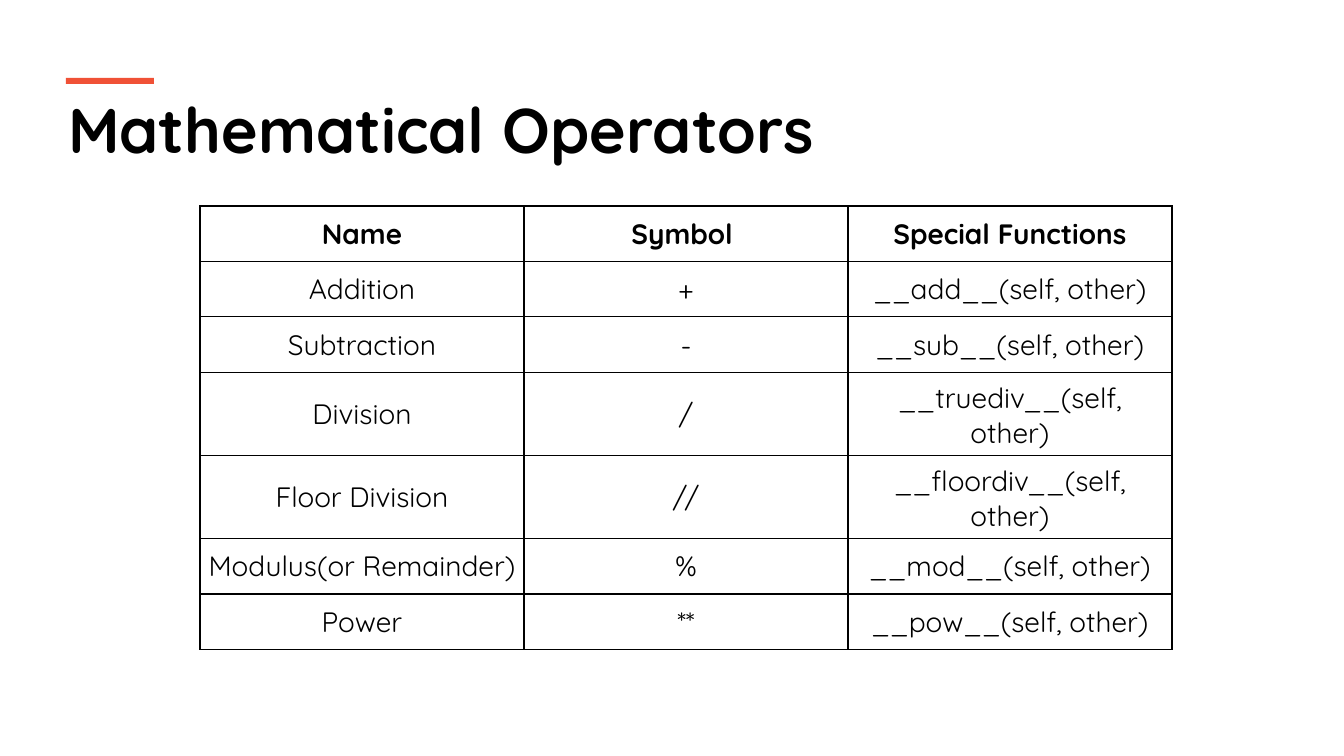
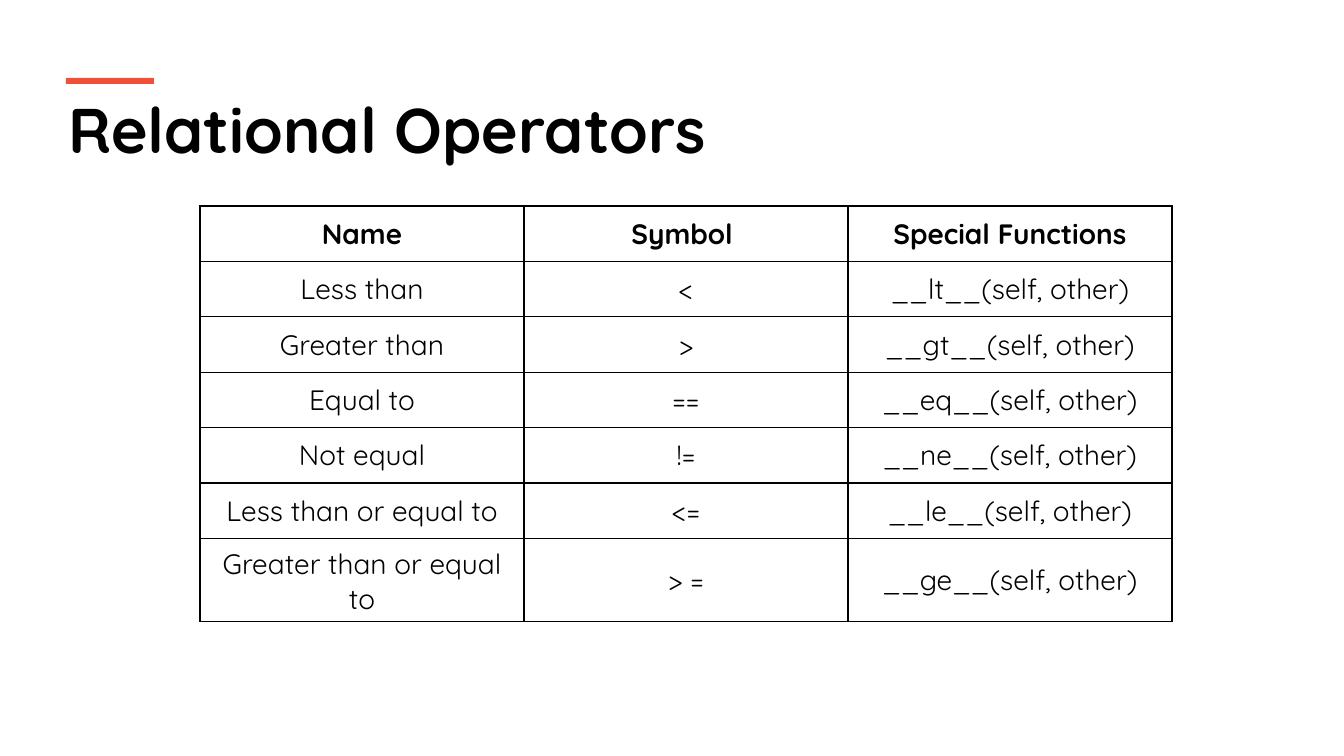
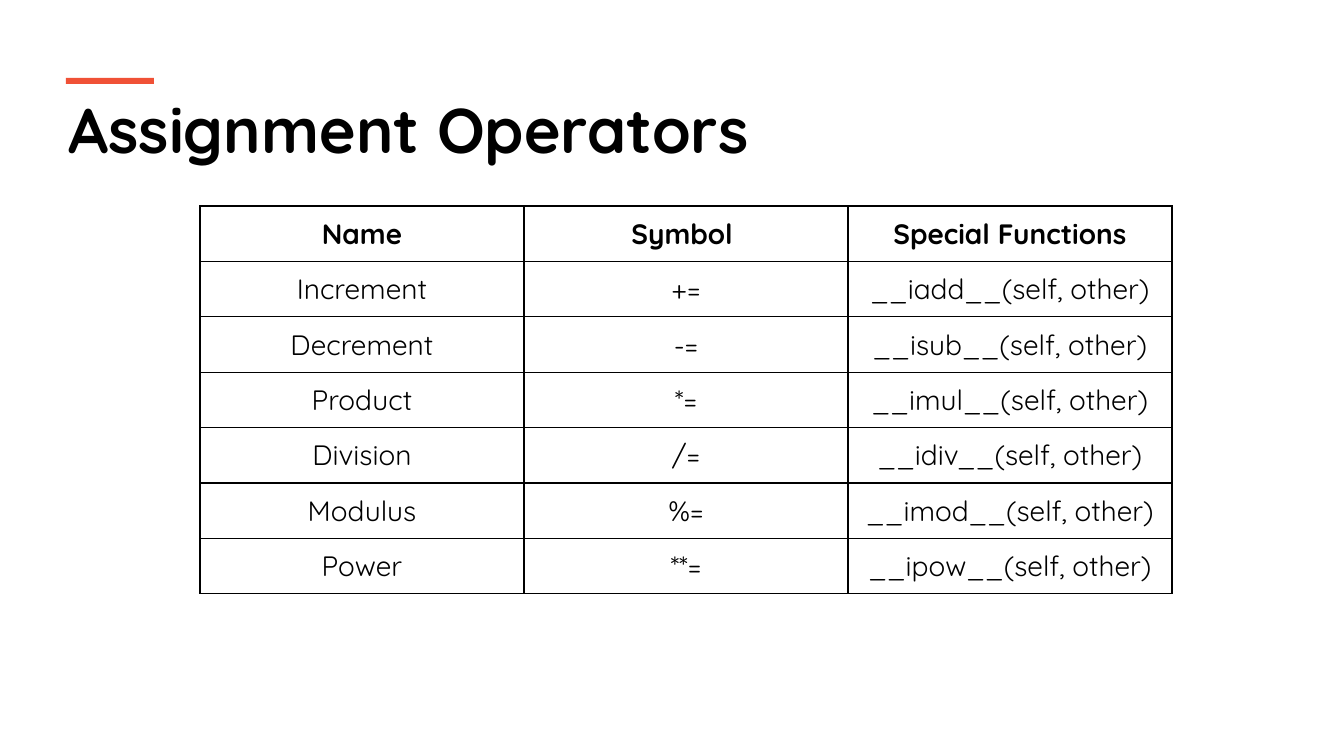
from typing import NamedTuple

from lxml.etree import SubElement
from pptx import Presentation
from pptx.dml.color import RGBColor
from pptx.enum.shapes import MSO_SHAPE
from pptx.enum.text import MSO_ANCHOR, MSO_AUTO_SIZE, PP_ALIGN
from pptx.oxml.ns import qn
from pptx.slide import Slide
from pptx.table import _Cell as Cell
from pptx.text.text import TextFrame
from pptx.util import Emu, Pt

WIDTH, HEIGHT = 1344, 756
SCALE = 12192000 / WIDTH  # EMU in one px
FONT = "Quicksand"
COLORS = {"paper": "FFFFFF", "ink": "000000", "accent": "F05136"}
HEADS = ("Name", "Symbol ", "Special Functions")


class Box(NamedTuple):
    left: int
    top: int
    width: int
    height: int

    def emu(self) -> tuple[Emu, ...]:
        return tuple(px(side) for side in self)


class Op(NamedTuple):
    name: str
    symbol: str
    method: str

    def texts(self) -> tuple[str, str, str]:
        return self.name, self.symbol, f"__{self.method}__(self, other)"


class Page(NamedTuple):
    title: str
    ops: tuple[Op, ...]


TITLE = Box(58, 85, 1244, 87)
BAR = Box(66, 78, 88, 6)
GRID = Box(200, 206, 972, 388)
INSET = 8

PAGES = (
    Page("Mathematical Operators", (
        Op("Addition", "+", "add"),
        Op("Subtraction", "-", "sub"),
        Op("Division", "/", "truediv"),
        Op("Floor Division", "//", "floordiv"),
        Op("Modulus(or Remainder)", "%", "mod"),
        Op("Power", "**", "pow"),
    )),
    Page("Relational Operators", (
        Op("Less than", "<", "lt"),
        Op("Greater than", ">", "gt"),
        Op("Equal to", "==", "eq"),
        Op("Not equal", "!=", "ne"),
        Op("Less than or equal to", "<=", "le"),
        Op("Greater than or equal to", "> =", "ge"),
    )),
    Page("Assignment Operators", (
        Op("Increment", "+=", "iadd"),
        Op("Decrement", "-=", "isub"),
        Op("Product", "*=", "imul"),
        Op("Division", "/=", "idiv"),
        Op("Modulus", "%=", "imod"),
        Op("Power", "**=", "ipow"),
    )),
)


def px(count: int) -> Emu:
    return Emu(round(count * SCALE))


def color(name: str) -> RGBColor:
    return RGBColor.from_string(COLORS[name])


def write(frame: TextFrame, text: str, size: int, bold: bool, align: PP_ALIGN) -> None:
    frame.text = text
    para = frame.paragraphs[0]
    para.alignment = align
    font = para.runs[0].font
    font.name, font.size, font.bold = FONT, Pt(size), bold
    font.color.rgb = color("ink")


def add_title(slide: Slide, text: str) -> None:
    title = slide.shapes.title
    title.left, title.top, title.width, title.height = TITLE.emu()
    frame = title.text_frame
    write(frame, text, 45, True, PP_ALIGN.LEFT)
    frame.vertical_anchor = MSO_ANCHOR.TOP
    frame.word_wrap = True
    frame.auto_size = MSO_AUTO_SIZE.SHAPE_TO_FIT_TEXT


def add_bar(slide: Slide) -> None:
    bar = slide.shapes.add_shape(MSO_SHAPE.RECTANGLE, *BAR.emu())
    bar.shadow.inherit = False
    bar.fill.solid()
    bar.fill.fore_color.rgb = color("accent")
    bar.line.fill.background()


def style_cell(cell: Cell, text: str, head: bool) -> None:
    # Borders come before the fill in the cell's properties
    props = cell._tc.get_or_add_tcPr()
    for side in ("lnL", "lnR", "lnT", "lnB"):
        line = SubElement(props, qn(f"a:{side}"), w=str(Pt(1)))
        fill = SubElement(line, qn("a:solidFill"))
        SubElement(fill, qn("a:srgbClr"), val=COLORS["ink"])
    cell.fill.solid()
    cell.fill.fore_color.rgb = color("paper")
    cell.vertical_anchor = MSO_ANCHOR.MIDDLE
    if not head:
        cell.margin_left = cell.margin_right = px(INSET)
        cell.margin_top = cell.margin_bottom = px(INSET)
    write(cell.text_frame, text, 20, head, PP_ALIGN.CENTER)


def add_grid(slide: Slide, ops: tuple[Op, ...]) -> None:
    lines = [HEADS, *(op.texts() for op in ops)]
    table = slide.shapes.add_table(len(lines), len(HEADS), *GRID.emu()).table
    table.horz_banding = False
    for row, texts in enumerate(lines):
        for col, text in enumerate(texts):
            style_cell(table.cell(row, col), text, row == 0)


def main() -> None:
    deck = Presentation()
    deck.slide_width, deck.slide_height = px(WIDTH), px(HEIGHT)
    layout = deck.slide_layouts.get_by_name("Title Only")
    for page in PAGES:
        slide = deck.slides.add_slide(layout)
        add_title(slide, page.title)
        add_bar(slide)
        add_grid(slide, page.ops)
    deck.save("out.pptx")


if __name__ == "__main__":
    main()
